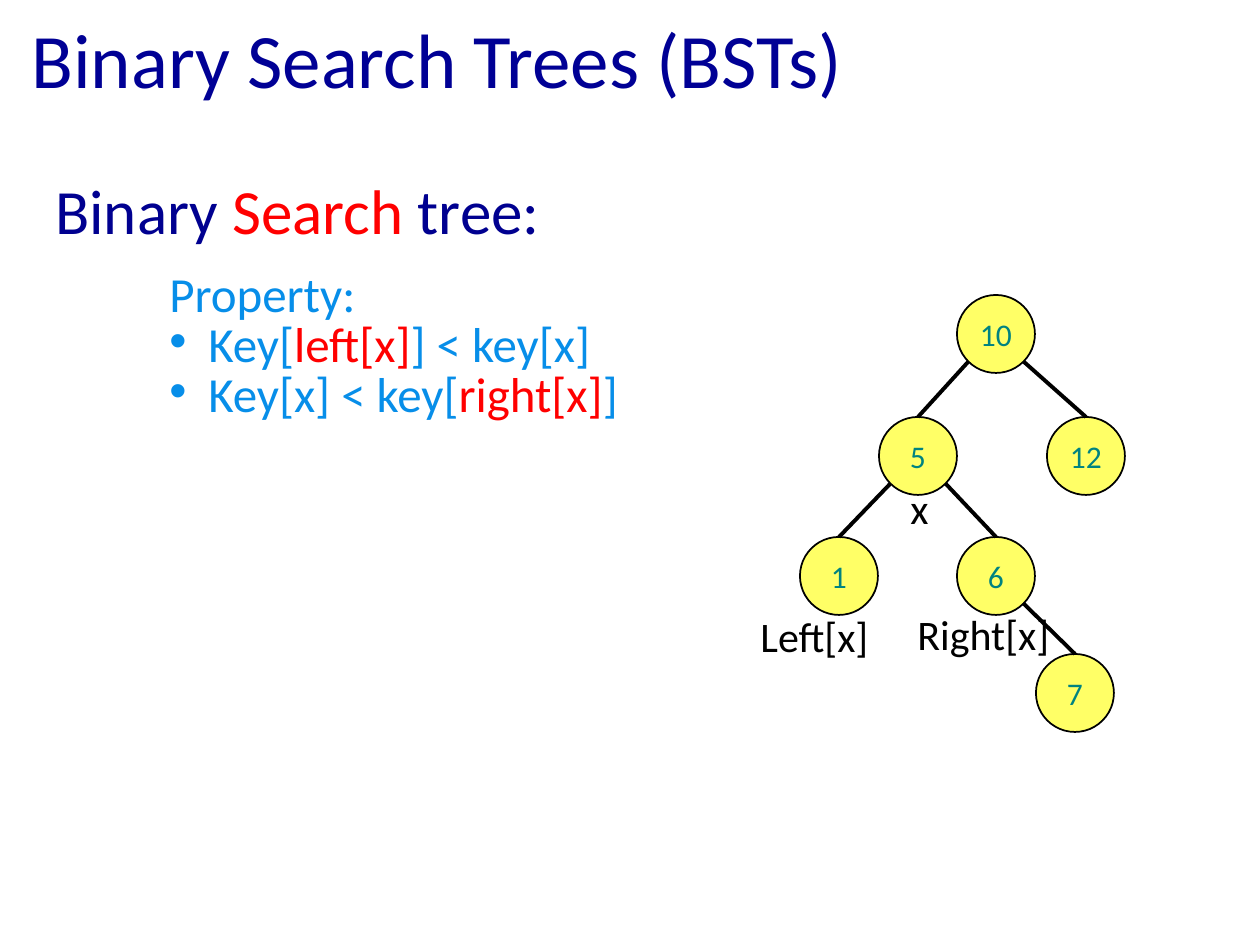
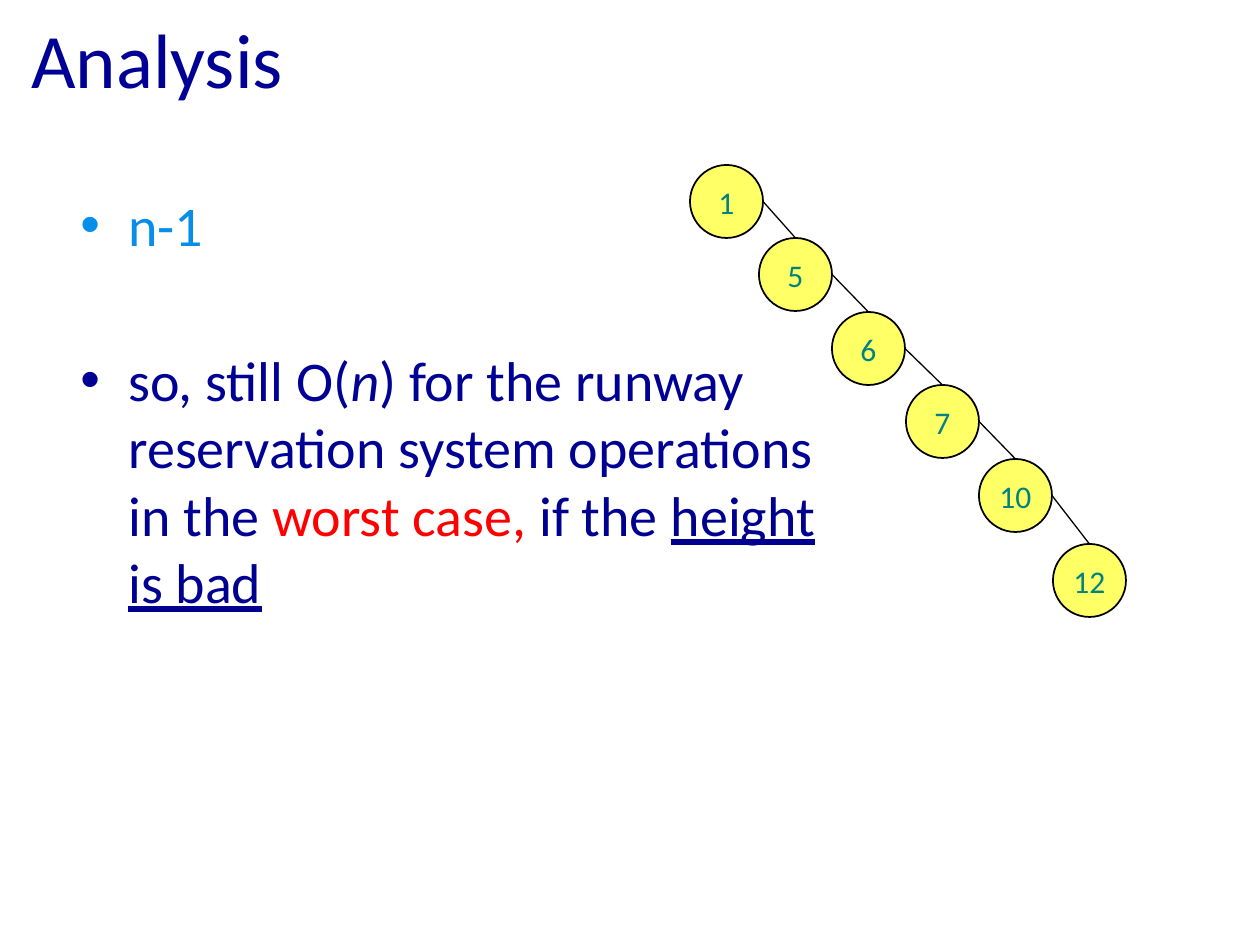
from dataclasses import dataclass
from math import sqrt
from typing import NamedTuple

from lxml import etree
from pptx import Presentation, util as u
from pptx.dml.color import RGBColor
from pptx.enum import shapes, text
from pptx.oxml import ns

PX = 914400 / 126  # EMU in one pixel


# Shared look
@dataclass(frozen=True)
class Theme:
    font: str = "Calibri"
    title: str = "000095"
    navy: str = "000090"
    blue: str = "078EE9"
    red: str = "FF0000"
    black: str = "000000"
    node_fill: str = "FFFF66"
    node_text: str = "008380"
    title_size: int = 44
    heading_size: int = 36
    body_size: int = 32
    property_size: int = 28
    label_size: int = 24
    node_size: int = 18
    para_gap: float = 0.18  # space before, as a share of the type size


T = Theme()


class Run(NamedTuple):
    text: str
    color: str
    italic: bool = False
    underline: bool = False


class Para(NamedTuple):
    runs: list[Run]
    bullet: bool = False
    margin: int = 0
    hanging: int = 0
    before: float = 0
    spacing: float = 1.0


class Node(NamedTuple):
    key: int
    x: int
    y: int


@dataclass(frozen=True)
class Tree:
    nodes: list[Node]
    edges: list[tuple[int, int]]  # parent key, child key
    diameter: int
    line: float
    diagonal: bool  # edges leave at the lower diagonal, else at the right side


def emu(px: float) -> int:
    return round(px * PX)


def rgb(color: str) -> RGBColor:
    return RGBColor.from_string(color)


# Text
def write(tf, paras: list[Para], *, size: int, align=text.PP_ALIGN.LEFT,
          anchor=text.MSO_ANCHOR.TOP, wrap: bool = True) -> None:
    tf.word_wrap = wrap
    tf.vertical_anchor = anchor
    for i, para in enumerate(paras):
        p = tf.paragraphs[0] if i == 0 else tf.add_paragraph()
        p.alignment = align
        p.line_spacing = para.spacing
        p.space_before = u.Pt(para.before)
        pPr = p._p.get_or_add_pPr()
        if para.margin:
            pPr.set("marL", str(emu(para.margin)))
            pPr.set("indent", str(-emu(para.hanging)))
        if para.bullet:
            etree.SubElement(pPr, ns.qn("a:buFont")).set("typeface", "Arial")
            etree.SubElement(pPr, ns.qn("a:buChar")).set("char", "•")
        for run in para.runs:
            r = p.add_run()
            r.text = run.text
            r.font.name = T.font
            r.font.size = u.Pt(size)
            r.font.color.rgb = rgb(run.color)
            r.font.italic = run.italic
            r.font.underline = run.underline


def add_text(s, x: int, y: int, w: int, h: int, paras: list[Para], **fmt) -> None:
    box = s.shapes.add_textbox(emu(x), emu(y), emu(w), emu(h))
    write(box.text_frame, paras, **fmt)


def add_label(s, x: int, y: int, w: int, label: str) -> None:
    add_text(s, x, y, w, 63, [Para([Run(label, T.black)])], size=T.label_size)


def add_slide(prs, title: str):
    s = prs.slides.add_slide(prs.slide_layouts[6])
    add_text(s, 19, 4, 1134, 107, [Para([Run(title, T.title)])],
             size=T.title_size, anchor=text.MSO_ANCHOR.MIDDLE)
    return s


# Trees
def add_node(group, node: Node, diameter: int) -> None:
    sp = group.shapes.add_shape(shapes.MSO_SHAPE.OVAL, emu(node.x), emu(node.y),
                                emu(diameter), emu(diameter))
    sp.shadow.inherit = False
    sp.fill.solid()
    sp.fill.fore_color.rgb = rgb(T.node_fill)
    sp.line.color.rgb = rgb(T.black)
    sp.line.width = u.Pt(1)
    write(sp.text_frame, [Para([Run(str(node.key), T.node_text)])],
          size=T.node_size, align=text.PP_ALIGN.CENTER,
          anchor=text.MSO_ANCHOR.MIDDLE, wrap=False)


def add_edge(group, parent: Node, child: Node, tree: Tree) -> None:
    radius = tree.diameter / 2
    side = 1 if child.x > parent.x else -1
    reach = radius / sqrt(2) if tree.diagonal else radius
    drop = reach if tree.diagonal else 0
    line = group.shapes.add_connector(
        shapes.MSO_CONNECTOR.STRAIGHT,
        emu(parent.x + radius + side * reach), emu(parent.y + radius + drop),
        emu(child.x + radius), emu(child.y))
    line.line.color.rgb = rgb(T.black)
    line.line.width = u.Pt(tree.line)
    etree.SubElement(line._element.spPr, ns.qn("a:effectLst"))


def add_tree(s, tree: Tree) -> None:
    group = s.shapes.add_group_shape()
    by_key = {node.key: node for node in tree.nodes}
    for node in tree.nodes:
        add_node(group, node, tree.diameter)
    for parent, child in tree.edges:
        add_edge(group, by_key[parent], by_key[child], tree)


prs = Presentation()
prs.slide_width, prs.slide_height = emu(1260), emu(945)

# Slide 1: the search tree property
s = add_slide(prs, "Binary Search Trees (BSTs)")
rules = [
    [Run("Property: ", T.blue)],
    [Run("Key[", T.blue), Run("left[x]", T.red), Run("] < key[x]", T.blue)],
    [Run("Key[x] < key[", T.blue), Run("right[x]", T.red), Run("]", T.blue)],
]
add_text(s, 94, 273, 590, 184,
         [Para(runs, bullet=i > 0, margin=102, hanging=39,
               before=T.para_gap * T.property_size, spacing=0.7)
          for i, runs in enumerate(rules)], size=T.property_size)
add_tree(s, Tree(
    nodes=[Node(10, 957, 295), Node(12, 1047, 417), Node(5, 879, 417),
           Node(1, 800, 537), Node(6, 957, 537), Node(7, 1036, 654)],
    edges=[(10, 5), (10, 12), (5, 1), (5, 6), (6, 7)],
    diameter=78, line=2.25, diagonal=True))
add_text(s, 43, 165, 515, 89,
         [Para([Run("Binary ", T.navy), Run("Search", T.red), Run(" tree:", T.navy)])],
         size=T.heading_size)
add_label(s, 748, 604, 135, "Left[x]")
add_label(s, 898, 476, 83, "x")
add_label(s, 905, 602, 185, "Right[x]")

# Slide 2: the worst case, a tree that is one long chain
s = add_slide(prs, "Analysis")
add_text(s, 68, 184, 771, 567, [
    Para([Run("n-1", T.blue)], bullet=True, margin=48, hanging=48,
         before=T.para_gap * T.body_size),
    Para([Run("so, still O(", T.title), Run("n", T.title, italic=True),
          Run(") for the runway reservation system operations in the ", T.title),
          Run("worst case, ", T.red), Run("if the ", T.navy),
          Run("height is bad", T.navy, underline=True)],
         bullet=True, margin=48, hanging=48, before=50.5),
], size=T.body_size)
chain = [Node(1, 690, 165), Node(5, 759, 238), Node(6, 832, 312),
         Node(7, 906, 385), Node(10, 979, 459), Node(12, 1053, 544)]
add_tree(s, Tree(
    nodes=chain, edges=[(a.key, b.key) for a, b in zip(chain, chain[1:])],
    diameter=73, line=0.75, diagonal=False))

prs.save("out.pptx")
